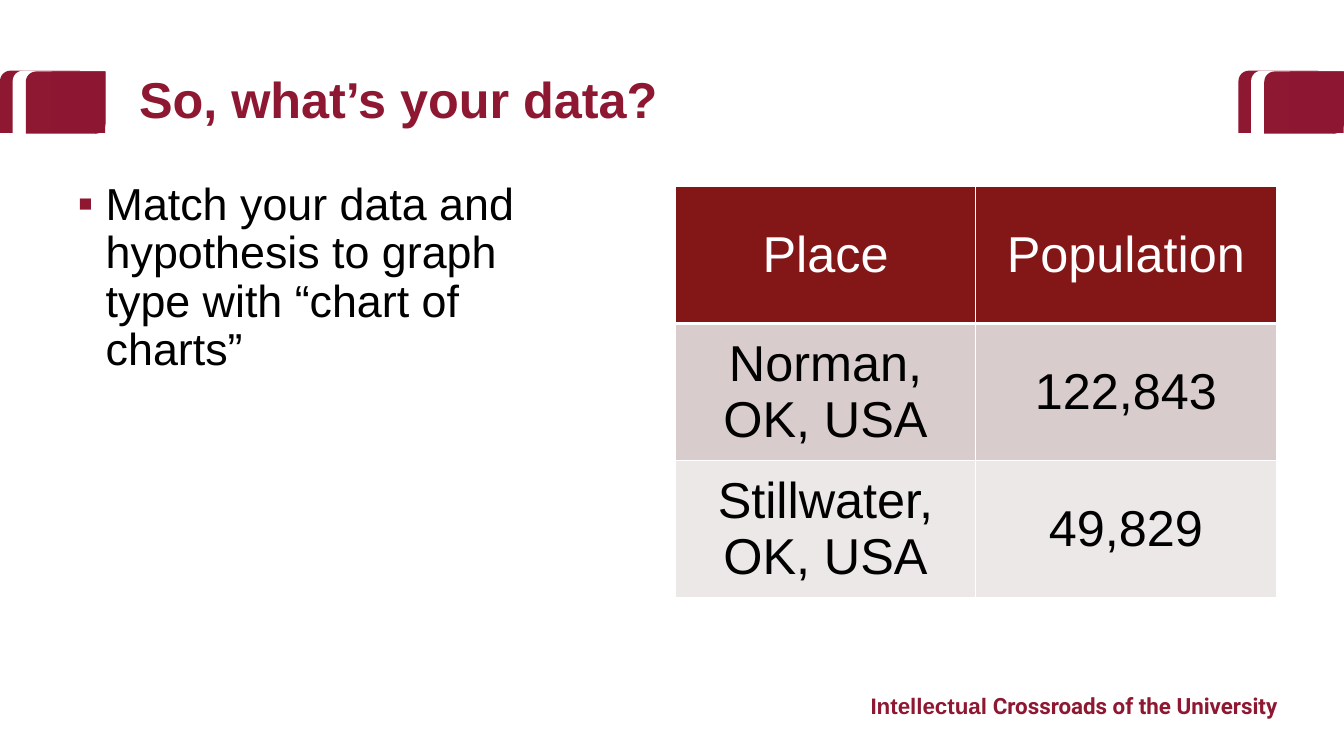
"""Build a slide with a title, one bullet and a population table."""
from lxml.etree import SubElement as Sub
from pptx import Presentation
from pptx.dml.color import RGBColor as RGB
from pptx.enum.shapes import MSO_SHAPE as Kind
from pptx.enum.text import MSO_ANCHOR as Anchor, MSO_AUTO_SIZE as Fit, PP_ALIGN as Align
from pptx.oxml.ns import qn
from pptx.util import Cm, Pt

HUES = {"wine": "8E1731", "block": "8D1732", "white": "FFFFFF", "black": "000000",
        "head": "831617", "odd": "D9CCCC", "even": "EDE8E8"}


def put(par, text, size, hue, bold=False, face="Arial"):
    run = par.add_run()
    run.text = text
    run.font.size = Pt(size)
    run.font.name = face
    run.font.bold = bold
    run.font.color.rgb = RGB.from_string(HUES[hue])


def tint(tag, hue):
    Sub(tag, qn("a:srgbClr"), val=HUES[hue])


deck = Presentation()
deck.slide_width, deck.slide_height = Cm(33.87), Cm(19.05)
slide = deck.slides.add_slide(deck.slide_layouts[1])
shapes = slide.shapes

note = shapes.add_textbox(Cm(21.69), Cm(17.32), Cm(11.63), Cm(0.94)).text_frame
note.word_wrap = True
line = note.paragraphs[0]
put(line, "Intellectual", 16, "wine", True)
put(line, " Crossroads of the University", 16, "wine", True, "Roboto")

tabs = [(Kind.ROUND_2_DIAG_RECTANGLE, 0, 1.78, 2.01, 1.57, "wine"),
        (Kind.ROUND_2_DIAG_RECTANGLE, 0.32, 1.78, 2.01, 1.57, "white"),
        (Kind.ROUND_2_DIAG_RECTANGLE, 0.65, 1.8, 2.01, 1.57, "wine"),
        (Kind.RECTANGLE, 1.3, 1.8, 1.35, 1.55, "block")]
for left in (31.21, 0):
    for kind, step, top, wide, high, hue in tabs:
        tab = shapes.add_shape(kind, Cm(left + step), Cm(top), Cm(wide), Cm(high))
        tab.shadow.inherit = False
        tab.fill.solid()
        tab.fill.fore_color.rgb = RGB.from_string(HUES[hue])
        tab.line.fill.background()
        if kind == Kind.ROUND_2_DIAG_RECTANGLE:
            tab.rotation = 180

body = slide.placeholders[1]
body.left, body.top, body.width, body.height = Cm(1.7), Cm(4.45), Cm(12.75), Cm(11.46)
body.text_frame.auto_size = Fit.NONE
item = body.text_frame.paragraphs[0]
item.line_spacing = 0.9
item.space_before = Pt(0)
props = item._p.get_or_add_pPr()
props.set("marL", str(Cm(0.71)))
props.set("indent", str(-Cm(0.71)))
tint(Sub(props, qn("a:buClr")), "wine")
Sub(props, qn("a:buFont"), typeface="Arial")
Sub(props, qn("a:buChar"), char="▪")
put(item, "Match your data and hypothesis to graph type with “chart of charts”", 32, "black")

title = shapes.title
title.left, title.top, title.width, title.height = Cm(3.25), Cm(1.88), Cm(20.35), Cm(1.4)
title.text_frame.auto_size = Fit.NONE
title.text_frame.vertical_anchor = Anchor.MIDDLE
head = title.text_frame.paragraphs[0]
head.alignment = Align.LEFT
head.line_spacing = 0.9
put(head, "So, what’s your data?", 36, "wine", True)

rows = [("head", "white", ("Place", "Population")),
        ("odd", "black", ("Norman, OK, USA", "122,843")),
        ("even", "black", ("Stillwater, OK, USA", "49,829"))]
grid = shapes.add_table(3, 2, Cm(17.02), Cm(4.7), Cm(15.14), Cm(10.35)).table
for r, (back, ink, texts) in enumerate(rows):
    for c, text in enumerate(texts):
        cell = grid.cell(r, c)
        cell.vertical_anchor = Anchor.MIDDLE
        for side in ("lnL", "lnR", "lnT", "lnB"):
            wide = 3 if r == 0 and side == "lnB" else 1
            edge = Sub(cell._tc.get_or_add_tcPr(), qn("a:" + side), w=str(Pt(wide)))
            tint(Sub(edge, qn("a:solidFill")), "white")
        cell.fill.solid()
        cell.fill.fore_color.rgb = RGB.from_string(HUES[back])
        par = cell.text_frame.paragraphs[0]
        par.alignment = Align.CENTER
        put(par, text, 36, ink)

deck.save("out.pptx")
